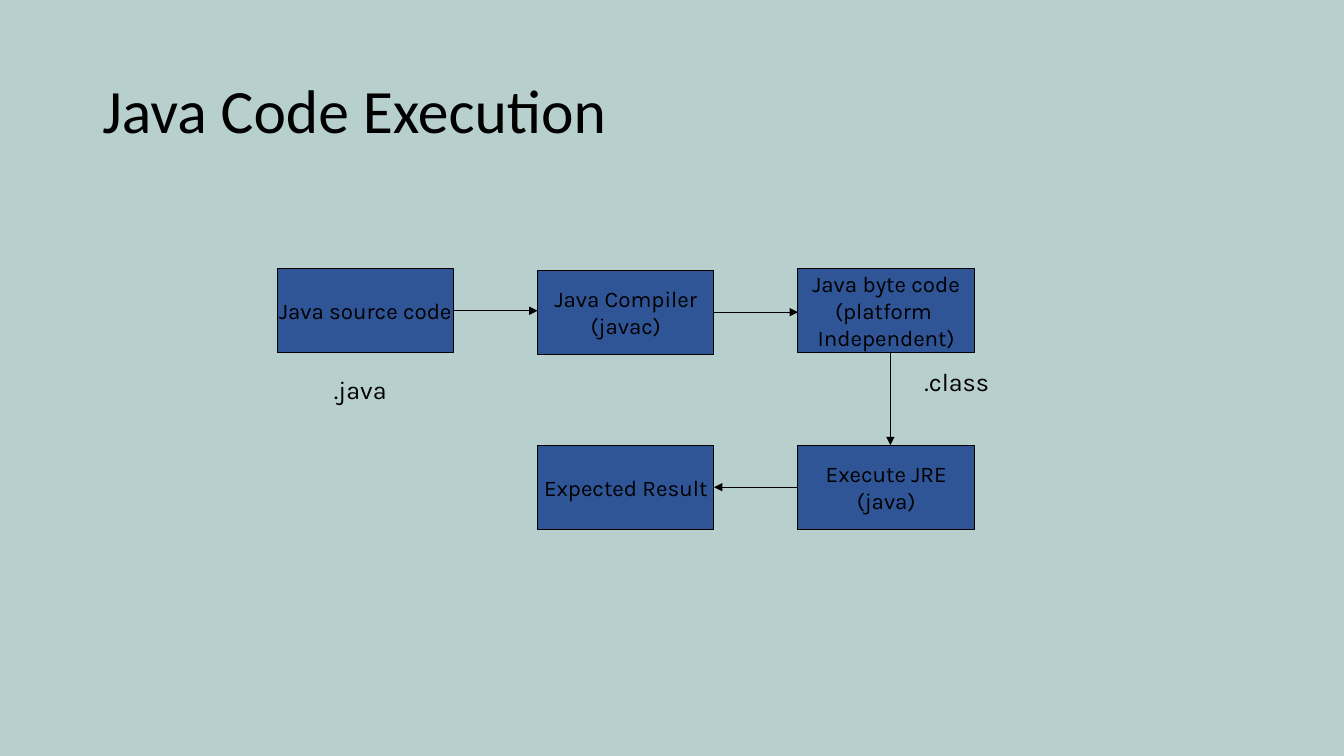
from dataclasses import dataclass
from typing import Any, Optional

from pptx import Presentation
from pptx.dml.color import RGBColor
from pptx.enum.shapes import MSO_CONNECTOR, MSO_SHAPE
from pptx.enum.text import MSO_ANCHOR, MSO_AUTO_SIZE, PP_ALIGN
from pptx.oxml.ns import qn
from pptx.util import Pt
from lxml import etree

STRAIGHT = MSO_CONNECTOR.STRAIGHT
RECTANGLE = MSO_SHAPE.RECTANGLE
MIDDLE, TOP = MSO_ANCHOR.MIDDLE, MSO_ANCHOR.TOP
CENTER, LEFT = PP_ALIGN.CENTER, PP_ALIGN.LEFT
GROW = MSO_AUTO_SIZE.SHAPE_TO_FIT_TEXT

COLORS = {"background": "B8D0CD", "step": "2F5597", "ink": "000000"}
STEP_WIDTH, STEP_HEIGHT = 126, 60
COLUMNS = [198 + 186 * column for column in range(3)]
UPPER, LOWER = 192, 318
LEFT_SIDE, RIGHT_SIDE = 1, 3

TITLE_FORMAT = {"name": "Calibri", "size": Pt(44)}
STEP_FORMAT = {"name": "Karla", "size": Pt(16)}
EXTENSION_FORMAT = {"name": "Karla", "size": Pt(18)}


@dataclass
class Step:
    key: str
    left: float
    top: float
    lines: list[str]


@dataclass
class Flow:
    start: tuple[float, float]
    end: tuple[float, float]
    source: Optional[tuple[str, int]] = None
    target: Optional[tuple[str, int]] = None


@dataclass
class Caption:
    text: str
    left: float
    top: float
    width: float
    height: float
    font: dict[str, Any]
    paragraph: dict[str, Any]
    frame: dict[str, Any]


STEPS = [
    Step("source", COLUMNS[0], UPPER, ["Java source code"]),
    Step("compiler", COLUMNS[1], UPPER + 1, ["Java Compiler", "(javac)"]),
    Step("bytecode", COLUMNS[2], UPPER, ["Java byte code", "(platform ", "Independent)"]),
    Step("runtime", COLUMNS[2], LOWER, ["Execute JRE", "(java)"]),
    Step("result", COLUMNS[1], LOWER, ["Expected Result"]),
]

FLOWS = [
    Flow((324, 222), (384, 222), source=("source", RIGHT_SIDE)),
    Flow((510, 223), (570, 223), source=("compiler", RIGHT_SIDE)),
    Flow((636, 252), (636, 318)),
    Flow((570, 348), (510, 348), ("runtime", LEFT_SIDE), ("result", RIGHT_SIDE)),
]

EXTENSION_FRAME = {"word_wrap": True, "vertical_anchor": TOP, "auto_size": GROW}
CAPTIONS = [
    Caption("Java Code Execution", 66, 28.8, 828, 104.4, TITLE_FORMAT,
            {"alignment": LEFT, "line_spacing": 0.9},
            {"word_wrap": True, "vertical_anchor": MIDDLE}),
    Caption(".java", 216, 264, 82.8, 28.8, EXTENSION_FORMAT,
            {"alignment": CENTER}, EXTENSION_FRAME),
    Caption(".class", 642, 258, 82.8, 28.8, EXTENSION_FORMAT,
            {"alignment": CENTER}, EXTENSION_FRAME),
]


def color(name: str) -> RGBColor:
    return RGBColor.from_string(COLORS[name])


def apply(target: Any, values: dict[str, Any]) -> None:
    for attribute, value in values.items():
        setattr(target, attribute, value)


def write(frame: Any, lines: list[str], font: dict[str, Any],
          paragraph_format: dict[str, Any], frame_format: dict[str, Any]) -> None:
    apply(frame, frame_format)
    frame.text = "\n".join(lines)
    for paragraph in frame.paragraphs:
        apply(paragraph, paragraph_format)
        for run in paragraph.runs:
            apply(run.font, font)
            run.font.color.rgb = color("ink")


def outline(line: Any) -> None:
    line.color.rgb = color("ink")
    line.width = Pt(0.75)


def draw_step(slide: Any, step: Step) -> Any:
    box = slide.shapes.add_shape(RECTANGLE, Pt(step.left), Pt(step.top),
                                 Pt(STEP_WIDTH), Pt(STEP_HEIGHT))
    box.shadow.inherit = False
    box.fill.solid()
    box.fill.fore_color.rgb = color("step")
    outline(box.line)
    write(box.text_frame, step.lines, STEP_FORMAT, {"alignment": CENTER},
          {"word_wrap": False, "vertical_anchor": MIDDLE})
    return box


def draw_flow(slide: Any, flow: Flow, boxes: dict[str, Any]) -> None:
    arrow = slide.shapes.add_connector(
        STRAIGHT, *(Pt(value) for value in flow.start + flow.end))
    if flow.source:
        arrow.begin_connect(boxes[flow.source[0]], flow.source[1])
    if flow.target:
        arrow.end_connect(boxes[flow.target[0]], flow.target[1])
    outline(arrow.line)
    properties = arrow._element.spPr
    etree.SubElement(properties.find(qn("a:ln")), qn("a:tailEnd"), type="triangle")
    etree.SubElement(properties, qn("a:effectLst"))


def draw_caption(slide: Any, caption: Caption) -> None:
    area = slide.shapes.add_textbox(Pt(caption.left), Pt(caption.top),
                                    Pt(caption.width), Pt(caption.height))
    write(area.text_frame, [caption.text], caption.font,
          caption.paragraph, caption.frame)


def main() -> None:
    deck = Presentation()
    deck.slide_width, deck.slide_height = Pt(960), Pt(540)
    slide = deck.slides.add_slide(deck.slide_layouts[6])
    slide.background.fill.solid()
    slide.background.fill.fore_color.rgb = color("background")
    boxes = {step.key: draw_step(slide, step) for step in STEPS}
    for flow in FLOWS:
        draw_flow(slide, flow, boxes)
    for caption in CAPTIONS:
        draw_caption(slide, caption)
    deck.save("out.pptx")


if __name__ == "__main__":
    main()
